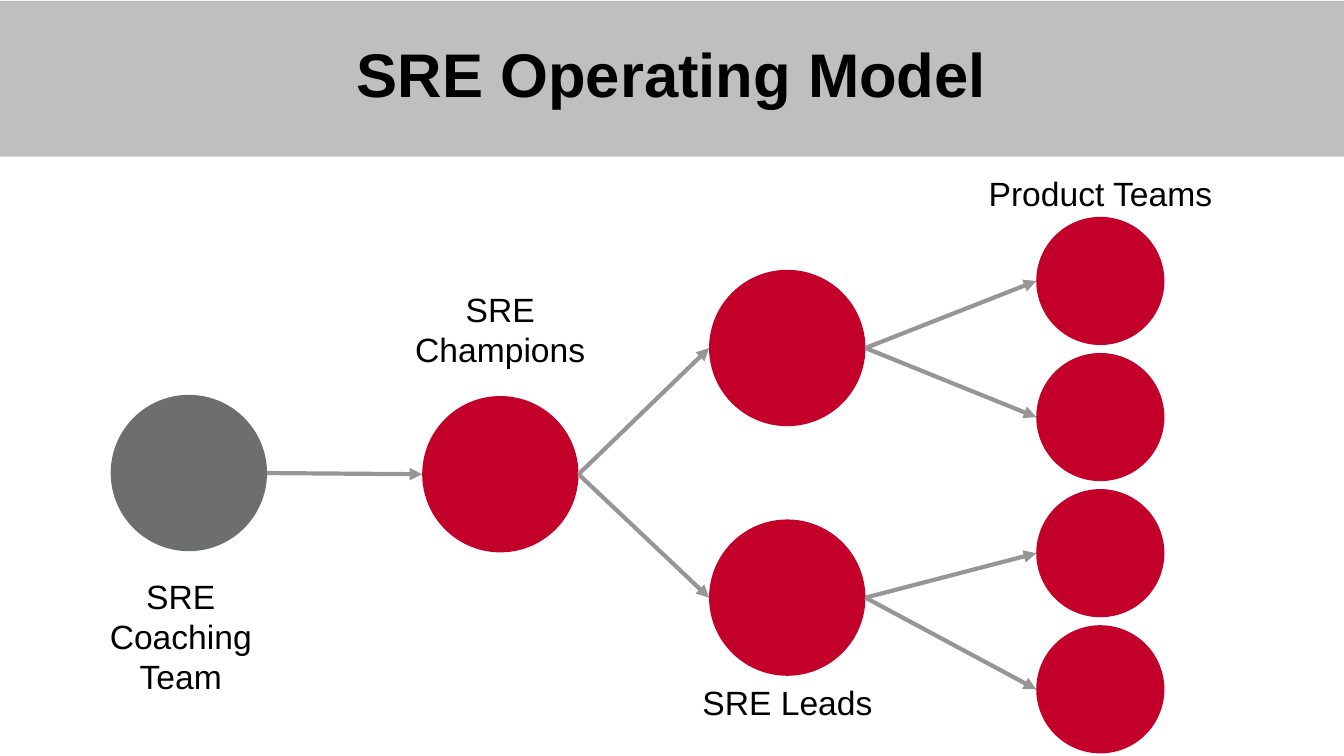
from lxml import etree
from pptx import Presentation
from pptx.dml.color import RGBColor
from pptx.enum.shapes import MSO_CONNECTOR, MSO_SHAPE
from pptx.enum.text import MSO_ANCHOR as ANCHOR, MSO_AUTO_SIZE as FIT, PP_ALIGN as ALIGN
from pptx.oxml.ns import qn
from pptx.util import Cm, Pt

BLACK = RGBColor(0x00, 0x00, 0x00)
BAND = RGBColor(0xBF, 0xBF, 0xBF)
RED = RGBColor(0xC2, 0x00, 0x29)
SLATE = RGBColor(0x6D, 0x6E, 0x6E)
ARROW = RGBColor(0x96, 0x96, 0x96)
BIG, SMALL = 3.94, 3.23


def add_text(s, text, box, size=24, bold=False, anchor=ANCHOR.TOP, fit=FIT.SHAPE_TO_FIT_TEXT, spacing=None):
    tf = s.shapes.add_textbox(*map(Cm, box)).text_frame
    tf.word_wrap = True
    tf.auto_size = fit
    tf.vertical_anchor = anchor
    p = tf.paragraphs[0]
    p.alignment = ALIGN.CENTER
    p.line_spacing = spacing
    r = p.add_run()
    r.text = text
    r.font.name = "Arial"
    r.font.size = Pt(size)
    r.font.bold = bold
    r.font.color.rgb = BLACK


def add_fill(s, kind, box, color):
    sp = s.shapes.add_shape(kind, *map(Cm, box))
    sp.shadow.inherit = False
    sp.fill.solid()
    sp.fill.fore_color.rgb = color
    sp.line.fill.background()


def add_circle(s, cx, cy, size, color=RED):
    add_fill(s, MSO_SHAPE.OVAL, (cx - size / 2, cy - size / 2, size, size), color)
    return cx, cy, size


def add_arrow(s, source, target):
    x1, y1, d1 = source
    x2, y2, d2 = target
    ends = x1 + d1 / 2, y1, x2 - d2 / 2, y2
    cn = s.shapes.add_connector(MSO_CONNECTOR.STRAIGHT, *map(Cm, ends))
    cn.line.color.rgb = ARROW
    cn.line.width = Pt(3)
    etree.SubElement(cn.line._get_or_add_ln(), qn("a:tailEnd"), type="triangle")
    etree.SubElement(cn._element.spPr, qn("a:effectLst"))


def add_header(s, title, box):
    left, top, width, height = box
    add_fill(s, MSO_SHAPE.RECTANGLE, box, BAND)
    add_text(s, title, (left, top + 0.1, width, height - 0.25), size=44, bold=True,
             anchor=ANCHOR.MIDDLE, fit=FIT.NONE, spacing=0.9)


def add_model(s, box):
    left, top, width, height = box
    coaching = add_circle(s, left + 4.76, top + 7.97, BIG, SLATE)
    champions = add_circle(s, left + 12.61, top + 8, BIG)
    leads = [add_circle(s, left + 19.84, top + y, BIG) for y in (4.82, 11.11)]
    teams = [add_circle(s, left + 27.73, top + 3.13 + 3.43 * i, SMALL) for i in range(4)]

    links = [(coaching, champions)]
    links += [(champions, lead) for lead in leads]
    links += [(leads[i // 2], team) for i, team in enumerate(teams)]
    for source, target in links:
        add_arrow(s, source, target)

    labels = [
        ("SRE Coaching Team", 2.03, 10.43, 5.05, 3.33),
        ("SRE Champions", 10.08, 3.21, 5.05, 2.31),
        ("SRE Leads", 17.32, 13.12, 5.05, 1.27),
        ("Product Teams", 22, 0.27, 11.46, 1.27),
    ]
    for text, x, y, w, h in labels:
        add_text(s, text, (left + x, top + y, w, h))


def main():
    prs = Presentation()
    prs.slide_width, prs.slide_height = Cm(33.87), Cm(19.05)
    s = prs.slides.add_slide(prs.slide_layouts[6])
    add_header(s, "SRE Operating Model", (0, 0.02, 33.87, 3.93))
    add_model(s, (0, 3.95, 33.87, 15.1))
    prs.save("out.pptx")


if __name__ == "__main__":
    main()
